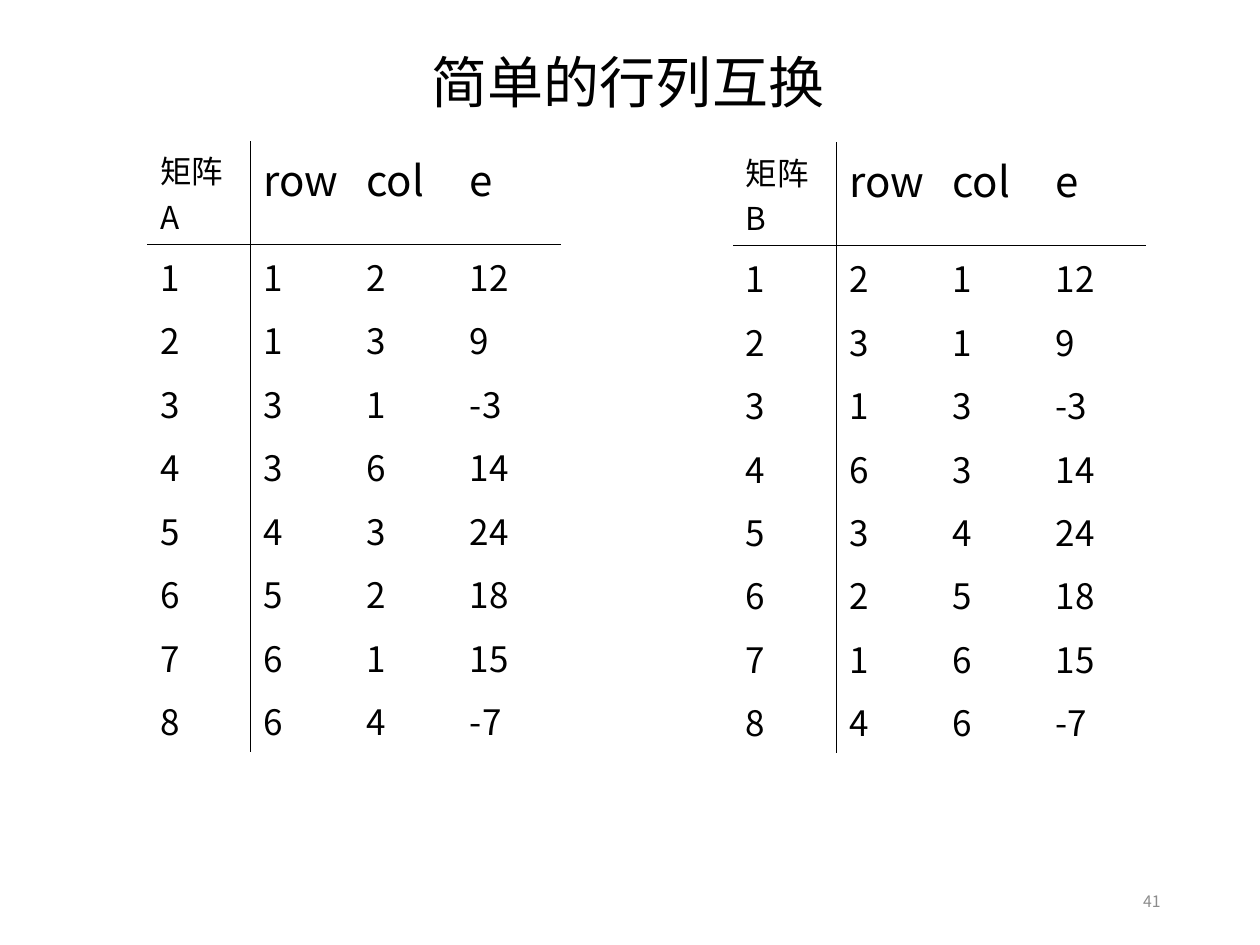
from lxml import etree
from pptx import Presentation
from pptx.dml.color import RGBColor
from pptx.enum.text import MSO_ANCHOR as Anchor, PP_ALIGN as Align
from pptx.oxml.ns import qn
from pptx.util import Inches, Pt

FONT = "Noto Sans CJK SC"
BLACK, GRAY = "000000", "8C8C8C"
PLAIN_TABLE_STYLE = "{2D5ABB26-0587-4C30-8999-92F81FD0307C}"
HEADER_HEIGHT = 0.82

# Non-zero entries of matrix A as (row, col, e)
ENTRIES = [(1, 2, 12), (1, 3, 9), (3, 1, -3), (3, 6, 14),
           (4, 3, 24), (5, 2, 18), (6, 1, 15), (6, 4, -7)]


def color(hex_string):
    return RGBColor.from_string(hex_string)


def write(frame, text, size, hex_color=BLACK, align=Align.LEFT):
    para = frame.paragraphs[0]
    span = para.add_run()
    span.text = text
    para.alignment = align
    para.font.size = Pt(size)
    para.font.name = FONT
    para.font.color.rgb = color(hex_color)
    # East Asian glyphs take their own font element
    for owner in (para.font, span.font):
        owner.name = FONT
        latin = owner._element.find(qn("a:latin"))
        east_asian = etree.Element(qn("a:ea"), typeface=FONT)
        latin.addnext(east_asian)
    span.font.size = Pt(size)
    span.font.color.rgb = color(hex_color)


def add_text(page, left, top, width, height, text, size,
             hex_color=BLACK, align=Align.LEFT, anchor=Anchor.TOP, wrap=True):
    box = page.shapes.add_textbox(Inches(left), Inches(top),
                                  Inches(width), Inches(height))
    box.text_frame.word_wrap = wrap
    box.text_frame.vertical_anchor = anchor
    write(box.text_frame, text, size, hex_color, align)


def set_borders(cell, sides):
    """Draw black 1 pt rules on the named sides, and none on the others."""
    properties = cell._tc.get_or_add_tcPr()
    for side in "LRTB":
        line = etree.SubElement(properties, qn(f"a:ln{side}"), w=str(Pt(1)))
        if side in sides:
            fill = etree.SubElement(line, qn("a:solidFill"))
            etree.SubElement(fill, qn("a:srgbClr"), val=BLACK)
        else:
            etree.SubElement(line, qn("a:noFill"))


def add_matrix(page, left, top, width, height, name, entries):
    header = [f"矩阵{name}", "row", "col", "e"]
    rows = [header] + [[number, *entry] for number, entry in enumerate(entries, 1)]
    frame = page.shapes.add_table(len(rows), len(header), Inches(left),
                                  Inches(top), Inches(width), Inches(height))
    table = frame.table
    table.first_row = table.horz_banding = False
    table._tbl.tblPr.find(qn("a:tableStyleId")).text = PLAIN_TABLE_STYLE
    for column in table.columns:
        column.width = Inches(width / len(header))

    body_height = (height - HEADER_HEIGHT) / len(entries)
    for r, values in enumerate(rows):
        table.rows[r].height = Inches(body_height if r else HEADER_HEIGHT)
        for c, value in enumerate(values):
            cell = table.cell(r, c)
            # One rule under the header, one right of the index column
            sides = {0: "B", 1: "T"}.get(r, "") + {0: "R", 1: "L"}.get(c, "")
            set_borders(cell, sides)
            cell.fill.background()
            size = 20 if r else 24 if c else 18
            write(cell.text_frame, str(value), size)


def main():
    deck = Presentation()
    deck.slide_width, deck.slide_height = Inches(10), Inches(7.5)
    page = deck.slides.add_slide(deck.slide_layouts[6])

    # Page number
    add_text(page, 7.06, 6.95, 2.25, 0.4, "41", 9, GRAY, Align.RIGHT, Anchor.MIDDLE)

    # Matrix A, and matrix B with row and column swapped
    swapped = [(col, row, e) for row, col, e in ENTRIES]
    add_matrix(page, 1.17, 1.12, 3.28, 4.85, "A", ENTRIES)
    add_matrix(page, 5.82, 1.13, 3.28, 4.85, "B", swapped)

    # Title
    add_text(page, 3.33, 0.33, 3.34, 0.64, "简单的行列互换", 32, wrap=False)

    deck.save("out.pptx")


if __name__ == "__main__":
    main()
